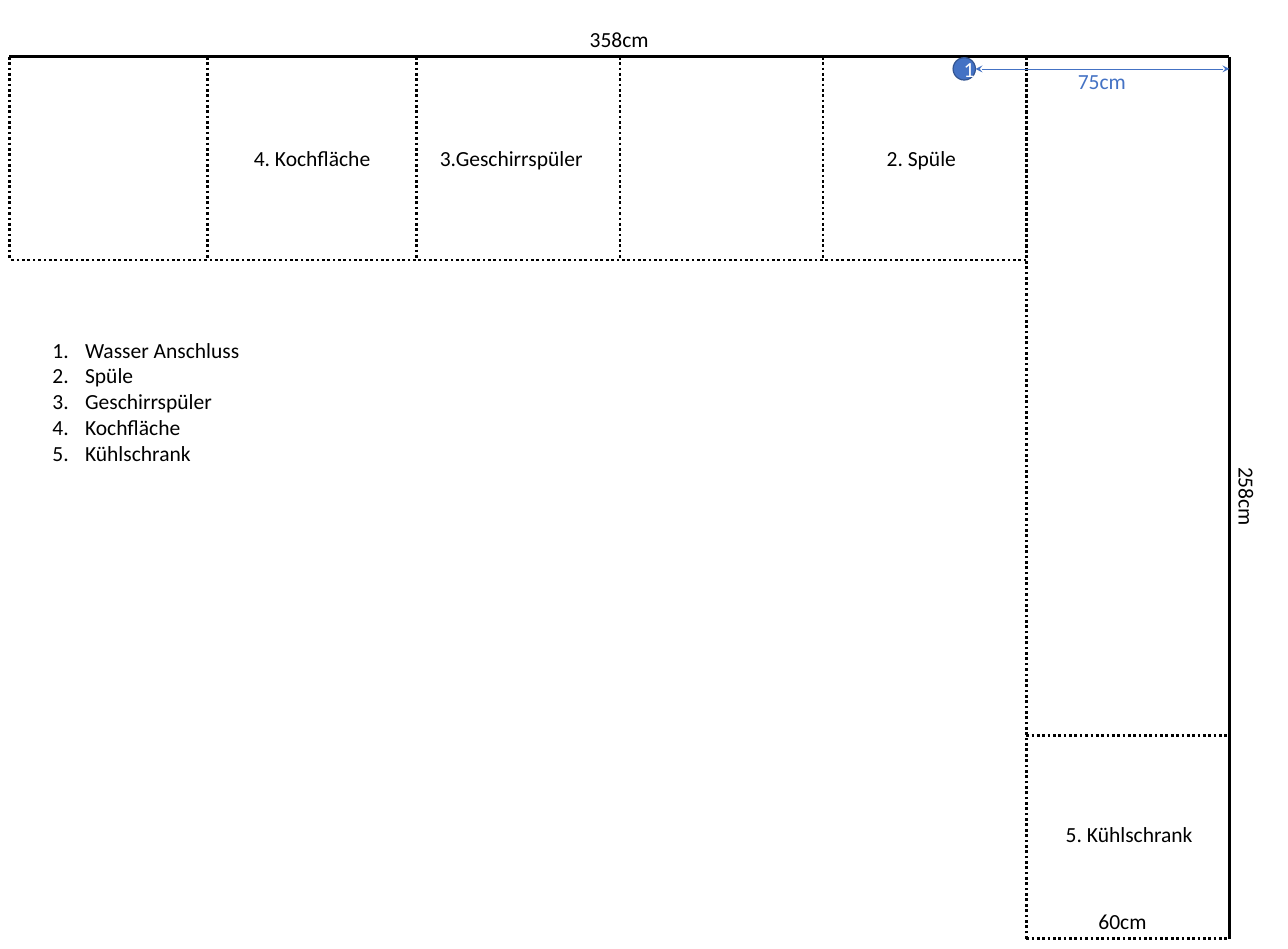
from lxml.etree import SubElement
from pptx import Presentation
from pptx.dml.color import RGBColor
from pptx.enum.dml import MSO_LINE
from pptx.enum.shapes import MSO_CONNECTOR as CONN, MSO_SHAPE as SHAPE
from pptx.enum.text import MSO_ANCHOR as ANCHOR, MSO_AUTO_SIZE as AUTO, PP_ALIGN as ALIGN
from pptx.oxml.ns import qn
from pptx.util import Inches, Pt

BLACK = RGBColor(0x00, 0x00, 0x00)
WHITE = RGBColor(0xFF, 0xFF, 0xFF)
BLUE = RGBColor(0x44, 0x72, 0xC4)
DARK_BLUE = RGBColor(0x32, 0x54, 0x91)

# Kitchen plan, in inches
LEFT, TOP, RIGHT, BOTTOM = 0.11, 0.66, 14.28, 10.9
DEPTH = 2.36
LABEL_H = 0.4


def add_line(shapes, x1, y1, x2, y2, color=BLACK, width=2.25, dash=None):
    cn = shapes.add_connector(CONN.STRAIGHT, *map(Inches, (x1, y1, x2, y2)))
    cn.line.color.rgb = color
    cn.line.width = Pt(width)
    if dash:
        cn.line.dash_style = dash
    SubElement(cn._element.spPr, qn("a:effectLst"))
    return cn


def add_dotted(shapes, x1, y1, x2, y2):
    return add_line(shapes, x1, y1, x2, y2, dash=MSO_LINE.ROUND_DOT)


def add_run(p, text, color=BLACK):
    r = p.add_run()
    r.text = text
    r.font.name = "Calibri"
    r.font.size = Pt(18)
    r.font.color.rgb = color


def add_label(shapes, x, y, w, text, color=BLACK, align=None, wrap=False):
    sp = shapes.add_textbox(*map(Inches, (x, y, w, LABEL_H)))
    tf = sp.text_frame
    tf.word_wrap = wrap
    tf.auto_size = AUTO.SHAPE_TO_FIT_TEXT
    p = tf.paragraphs[0]
    p.alignment = align
    add_run(p, text, color)
    return sp


def draw_walls(shapes, x, y, w, h):
    add_line(shapes, x, y, x + w, y)
    add_line(shapes, x + w, y, x + w, y + h)
    add_label(shapes, x + 6.64, y - 0.41, 0.89, "358cm")
    side = add_label(shapes, x + w - 0.24, y + 4.91, 0.89, "258cm")
    side.rotation = 90


def draw_top_row(shapes, x, y, w, h):
    # Units are one depth wide from the right; the leftmost divider sits apart
    dividers = [x, x + 2.3] + [x + w - i * h for i in (3, 2, 1, 0)]
    for dx in dividers:
        add_dotted(shapes, dx, y, dx, y + h)
    add_dotted(shapes, x + w, y + h, x, y + h)
    label_y = y + 0.97
    add_label(shapes, dividers[1], label_y, dividers[2] - dividers[1],
              "4. Kochfläche", align=ALIGN.CENTER, wrap=True)
    add_label(shapes, dividers[2] + 0.17, label_y + 0.01, 2.02, "3.Geschirrspüler", wrap=True)
    add_label(shapes, dividers[4] + 0.64, label_y, 1.07, "2. Spüle")


def draw_right_column(shapes, x, y, w, h):
    add_dotted(shapes, x, y + h, x, y)
    for ly in (y + h - DEPTH, y + h):
        add_dotted(shapes, x, ly, x + w, ly)
    add_label(shapes, x + 0.36, y + h - 1.41, 1.69, "5. Kühlschrank")
    add_label(shapes, x + 0.74, y + h - LABEL_H, 0.77, "60cm")


def draw_water_connection(shapes, x, y, w, h):
    group = shapes.add_group_shape().shapes
    # Numbered connection point
    sp = group.add_shape(SHAPE.OVAL, *map(Inches, (x, y, h, h)))
    sp.shadow.inherit = False
    sp.fill.solid()
    sp.fill.fore_color.rgb = BLUE
    sp.line.color.rgb = DARK_BLUE
    sp.line.width = Pt(1)
    tf = sp.text_frame
    tf.vertical_anchor = ANCHOR.MIDDLE
    p = tf.paragraphs[0]
    p.alignment = ALIGN.CENTER
    add_run(p, "1", WHITE)
    # Distance to the wall
    mid = y + h / 2
    arrow = add_line(group, x + w, mid, x + h, mid, BLUE, 0.5)
    ln = arrow.line._get_or_add_ln()
    for end in ("a:headEnd", "a:tailEnd"):
        SubElement(ln, qn(end), type="stealth")
    add_label(group, x + 1.35, y + 0.07, 0.77, "75cm", BLUE)


def draw_legend(shapes, x, y, w, h):
    sp = shapes.add_textbox(*map(Inches, (x, y, w, h)))
    tf = sp.text_frame
    tf.word_wrap = False
    items = ["Wasser Anschluss", "Spüle", "Geschirrspüler", "Kochfläche", "Kühlschrank"]
    for i, item in enumerate(items):
        p = tf.add_paragraph() if i else tf.paragraphs[0]
        add_run(p, item)
        pPr = p._p.get_or_add_pPr()
        pPr.set("marL", str(Inches(0.38)))
        pPr.set("indent", str(-Inches(0.38)))
        SubElement(pPr, qn("a:buFont"), typeface="+mj-lt")
        SubElement(pPr, qn("a:buAutoNum"), type="arabicPeriod")


prs = Presentation()
prs.slide_width, prs.slide_height = Inches(14.96), Inches(11.02)
s = prs.slides.add_slide(prs.slide_layouts[6])
width, height = RIGHT - LEFT, BOTTOM - TOP
draw_walls(s.shapes, LEFT, TOP, width, height)
draw_top_row(s.shapes, LEFT, TOP, width - DEPTH, DEPTH)
draw_right_column(s.shapes, RIGHT - DEPTH, TOP, DEPTH, height)
draw_water_connection(s.shapes, 11.07, 0.67, RIGHT - 11.07, 0.26)
draw_legend(s.shapes, 0.51, 3.86, 2.39, 2.22)
prs.save("out.pptx")
